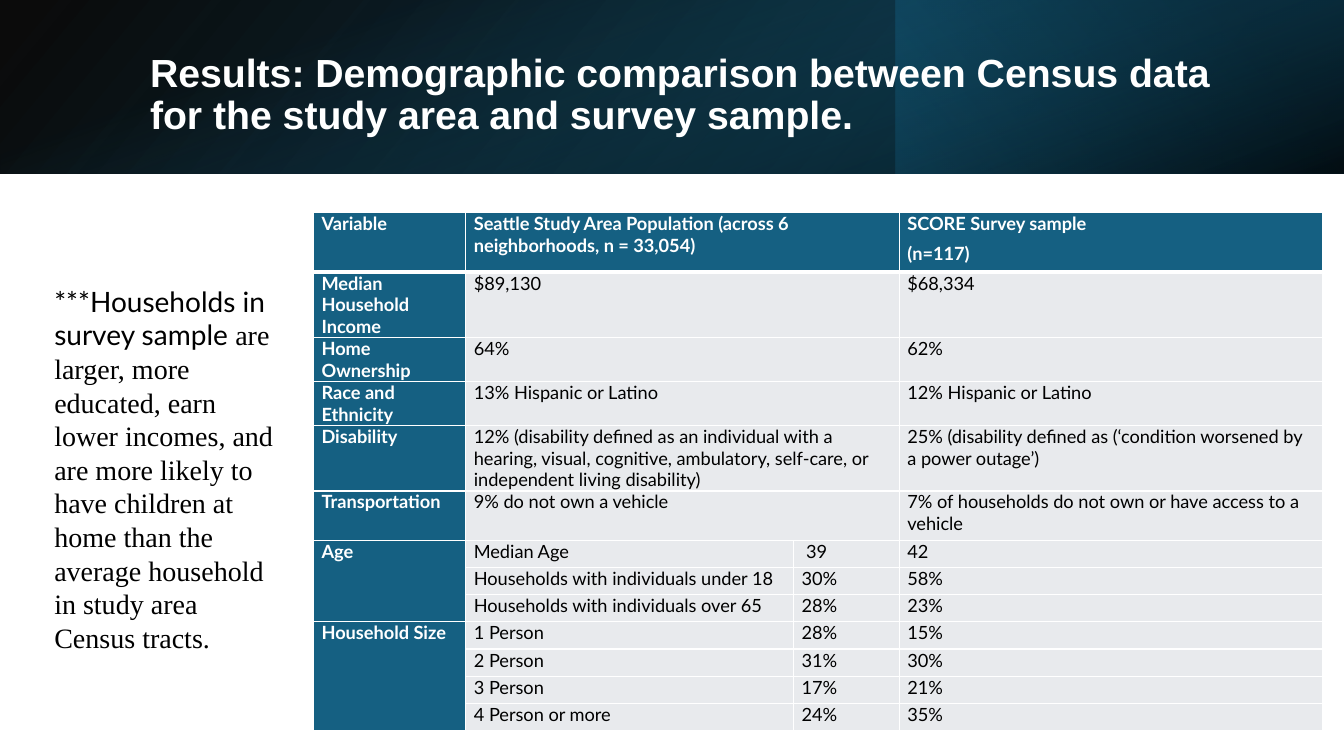
from lxml.etree import SubElement
from pptx import Presentation
from pptx.dml.color import RGBColor
from pptx.enum.shapes import MSO_SHAPE
from pptx.enum.text import MSO_ANCHOR
from pptx.oxml import parse_xml
from pptx.oxml.ns import nsdecls, qn
from pptx.util import Inches, Pt

WHITE = RGBColor(0xFF, 0xFF, 0xFF)
BLACK = RGBColor(0, 0, 0)
TEAL = RGBColor(0x15, 0x60, 0x82)
DARK_TEAL = RGBColor(0x10, 0x48, 0x62)
DEEP_TEAL = RGBColor(0x0B, 0x30, 0x41)
PALE = RGBColor(0xE8, 0xEA, 0xED)

WIDTH, HEIGHT, BANNER = 13.33, 7.5, 1.72
TITLE = "Results: Demographic comparison between Census data for the study area and survey sample."
NOTE = [
    ("***Households in survey sample ", "Lato"),
    ("are larger, more educated, earn lower incomes, and are more likely to have children "
     "at home than the average household in study area Census tracts.", "Times New Roman"),
]
BANNER_LAYERS = [
    ((0, 0, WIDTH, BANNER), 0, True, 140, [(0, BLACK, 96), (100, DARK_TEAL, 100)]),
    ((WIDTH * 2 / 3, 0, WIDTH / 3, BANNER), 180, False, 320, [(19, DEEP_TEAL, 68), (100, TEAL, 79)]),
    (((WIDTH - BANNER) / 2, (BANNER - WIDTH) / 2, BANNER, WIDTH), 90, False, 340,
     [(23, TEAL, 0), (99, BLACK, 74)]),
]
COLUMNS = [1.51, 3.25, 1.05, 4.2]
SHORT, TALL, HEADER = 0.27, 0.49, 0.59
ROWS = [
    (HEADER, "Variable", "Seattle Study Area Population (across 6 neighborhoods, n = 33,054)", None,
     "SCORE Survey sample\n(n=117)"),
    (TALL, "Median Household Income", "$89,130", None, "$68,334"),
    (SHORT, "Home Ownership", "64%", None, "62%"),
    (SHORT, "Race and Ethnicity", "13% Hispanic or Latino", None, "12% Hispanic or Latino"),
    (TALL, "Disability",
     "12% (disability defined as an individual with a hearing, visual, cognitive, ambulatory, "
     "self-care, or independent living disability)", None,
     "25% (disability defined as (‘condition worsened by a power outage’)"),
    (TALL, "Transportation", "9% do not own a vehicle", None,
     "7% of households do not own or have access to a vehicle"),
    (SHORT, "Age", "Median Age", " 39", "42"),
    (SHORT, None, "Households with individuals under 18", "30%", "58%"),
    (SHORT, None, "Households with individuals over 65", "28%", "23%"),
    (SHORT, "Household Size", "1 Person", "28%", "15%"),
    (SHORT, None, "2 Person", "31%", "30%"),
    (SHORT, None, "3 Person", "17%", "21%"),
    (SHORT, None, "4 Person or more", "24%", "35%"),
]


def style(span, size, name, color, bold=False):
    span.font.size, span.font.name, span.font.bold = Pt(size), name, bold
    span.font.color.rgb = color


def add_banner_layer(page, place, rotation, flipped, angle, stops):
    layer = page.shapes.add_shape(MSO_SHAPE.RECTANGLE, *map(Inches, place))
    layer.shadow.inherit = False
    layer.rotation = rotation
    layer.line.fill.background()
    properties = layer._element.spPr
    if flipped:
        properties.find(qn("a:xfrm")).set("flipH", "1")
    marks = "".join(
        f'<a:gs pos="{pos * 1000}"><a:srgbClr val="{color}"><a:alpha val="{alpha * 1000}"/>'
        f'</a:srgbClr></a:gs>' for pos, color, alpha in stops)
    gradient = parse_xml(
        f'<a:gradFill {nsdecls("a")} rotWithShape="1"><a:gsLst>{marks}</a:gsLst>'
        f'<a:lin ang="{angle * 60000}" scaled="0"/></a:gradFill>')
    properties.find(qn("a:prstGeom")).addnext(gradient)


def add_text(page, place):
    box = page.shapes.add_textbox(*map(Inches, place))
    box.text_frame.word_wrap = True
    return box.text_frame


def add_borders(cell, top, bottom):
    properties = cell._tc.get_or_add_tcPr()
    for side, points in (("L", 1), ("R", 1), ("T", top), ("B", bottom)):
        line = SubElement(properties, qn(f"a:ln{side}"), w=str(Pt(points)))
        fill = SubElement(line, qn("a:solidFill"))
        SubElement(fill, qn("a:srgbClr"), val=str(WHITE))


def fill_cell(cell, text, row, column):
    dark = row == 0 or column == 0
    add_borders(cell, 3 if row == 1 else 1, 3 if row == 0 else 1)
    cell.fill.solid()
    cell.fill.fore_color.rgb = TEAL if dark else PALE
    cell.margin_left = cell.margin_right = Inches(0.08)
    cell.margin_top = cell.margin_bottom = 0
    if text is None:
        return
    cell.text_frame.text = text
    for index, para in enumerate(cell.text_frame.paragraphs):
        para.space_before = Pt(3 if index else 0)
        para.space_after = Pt(3)
        style(para.runs[0], 13, "Lato", WHITE if dark else BLACK, dark)


def add_comparison(page):
    frame = page.shapes.add_table(
        len(ROWS), len(COLUMNS), Inches(3.11), Inches(2.11),
        Inches(sum(COLUMNS)), Inches(sum(row[0] for row in ROWS)))
    table = frame.table
    table.horz_banding = False
    table.first_col = True
    for column, width in zip(table.columns, COLUMNS):
        column.width = Inches(width)
    group = 0
    for index, (height, *texts) in enumerate(ROWS):
        table.rows[index].height = Inches(height)
        for column, text in enumerate(texts):
            fill_cell(table.cell(index, column), text, index, column)
        if texts[2] is None:
            table.cell(index, 1).merge(table.cell(index, 2))
        if texts[0] is not None:
            group = index
        elif index + 1 == len(ROWS) or ROWS[index + 1][1] is not None:
            table.cell(group, 0).merge(table.cell(index, 0))


def main():
    deck = Presentation()
    deck.slide_width, deck.slide_height = Inches(WIDTH), Inches(HEIGHT)
    page = deck.slides.add_slide(deck.slide_layouts[6])
    for layer in BANNER_LAYERS:
        add_banner_layer(page, *layer)

    title = add_text(page, (1.39, 0.47, 10.98, 0.96))
    title.vertical_anchor = MSO_ANCHOR.MIDDLE
    title.text = TITLE
    title.paragraphs[0].line_spacing = 0.9
    style(title.paragraphs[0].runs[0], 28, "Arial", WHITE, True)

    add_comparison(page)

    note = add_text(page, (0.44, 2.77, 2.46, 3.8))
    for text, name in NOTE:
        span = note.paragraphs[0].add_run()
        span.text = text
        style(span, 20, name, BLACK)
    deck.save("out.pptx")


if __name__ == "__main__":
    main()
